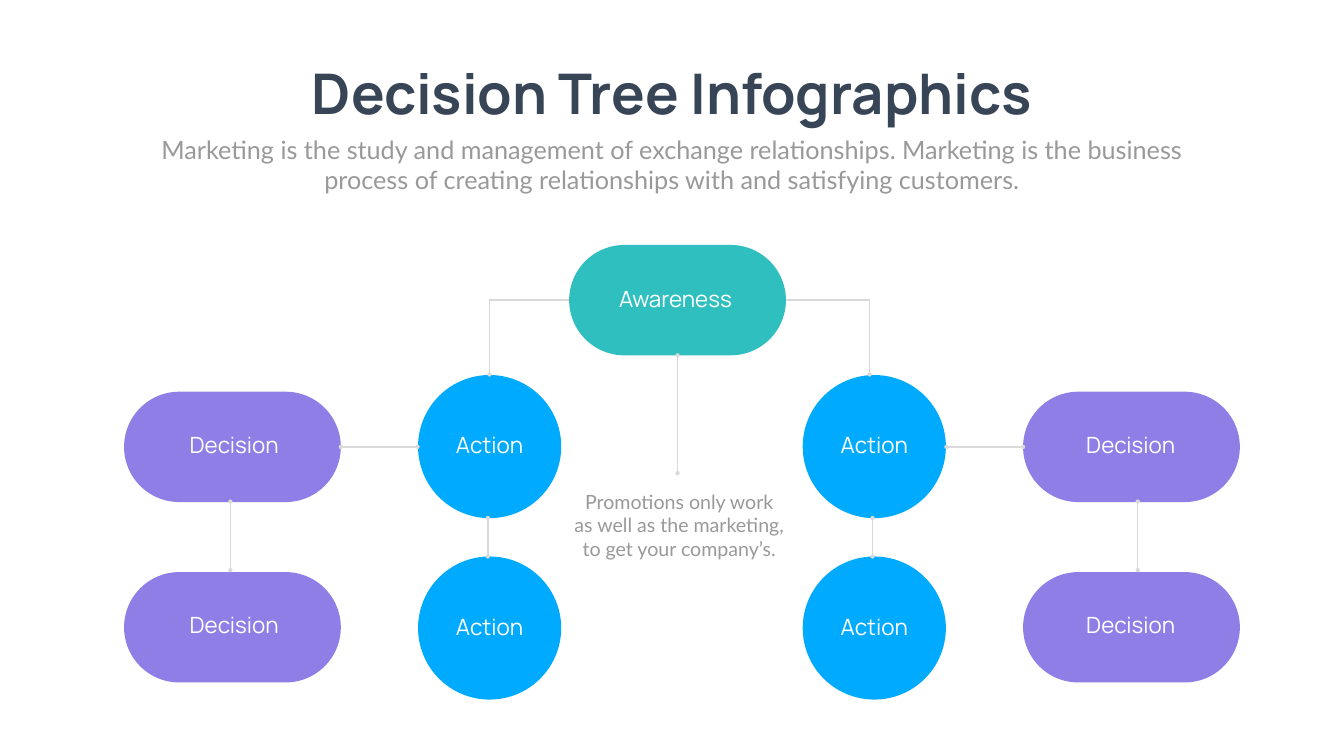
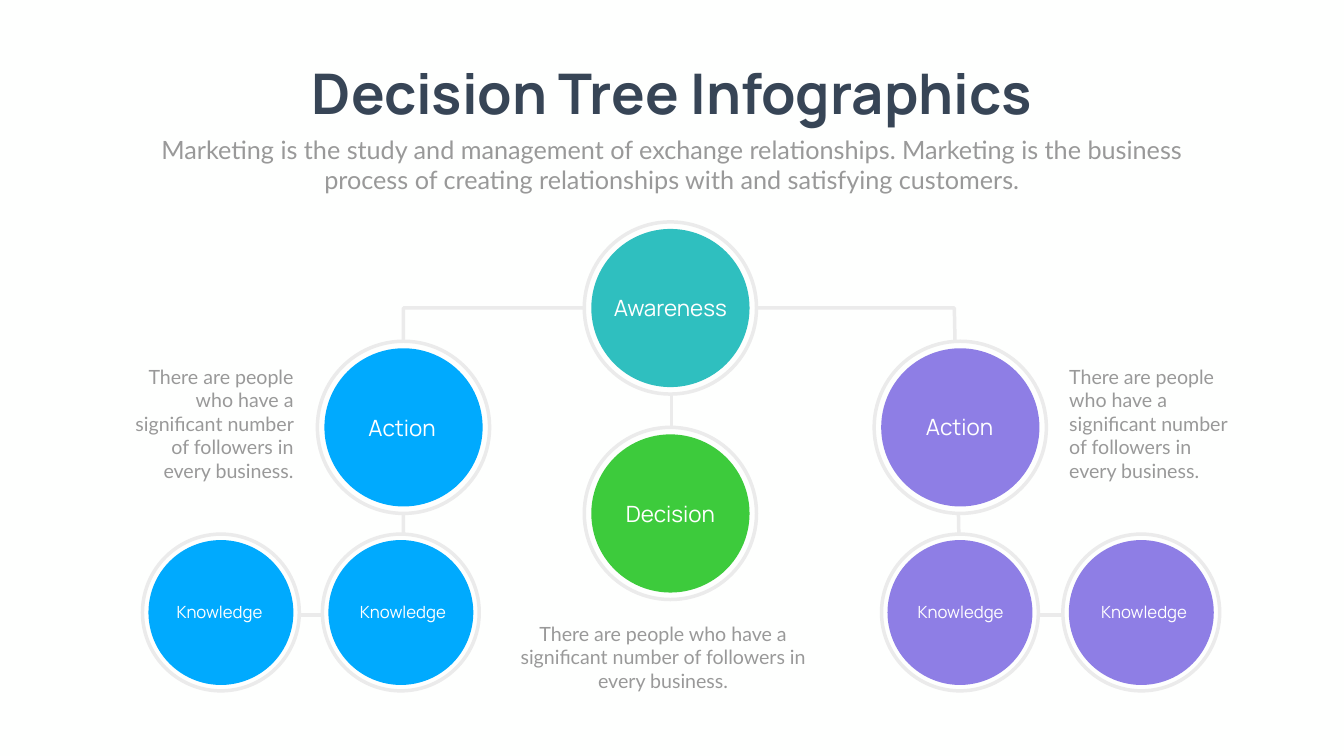
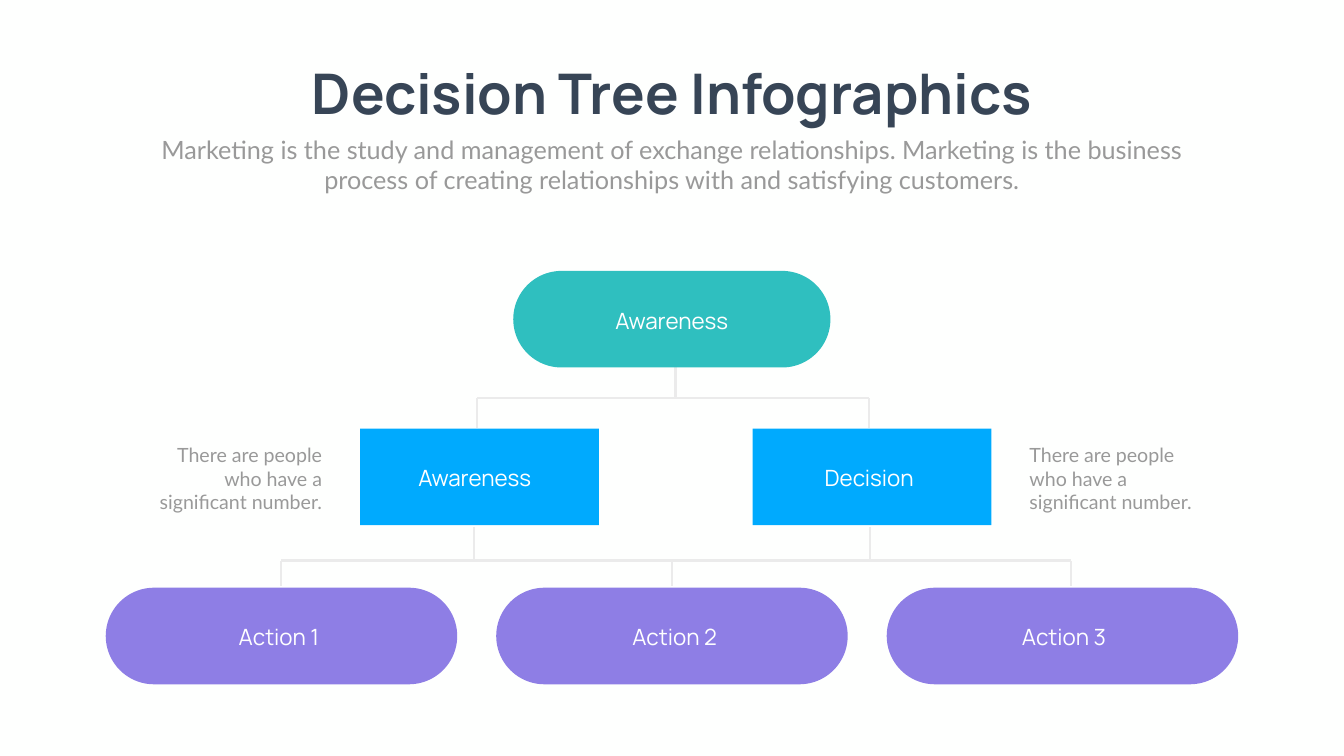
from lxml.etree import SubElement
from pptx import Presentation
from pptx.dml.color import RGBColor
from pptx.enum.shapes import MSO_CONNECTOR, MSO_SHAPE
from pptx.enum.text import MSO_ANCHOR, MSO_AUTO_SIZE, PP_ALIGN
from pptx.oxml.ns import qn
from pptx.util import Pt

# Shared look
PAPER, WHITE, NAVY, GREY = "FEFFFE", "FFFFFF", "374556", "999999"
TEAL, BLUE, PURPLE, GREEN = "2FBFBF", "00AAFE", "8E7EE5", "3DCB3C"
WIRE, RING = "D9D9D9", "EBEBEB"
HEAD, BODY = "Manrope", "Lato"
LEFT, MID, RIGHT = PP_ALIGN.LEFT, PP_ALIGN.CENTER, PP_ALIGN.RIGHT
PILL, OVAL, RECT = MSO_SHAPE.ROUNDED_RECTANGLE, MSO_SHAPE.OVAL, MSO_SHAPE.RECTANGLE
TOP, WEST, BASE, EAST = range(4)  # connection sites

TITLE = "Decision Tree Infographics"
INTRO = ("Marketing is the study and management of exchange relationships. "
         "Marketing is the business process of creating relationships with "
         "and satisfying customers.")
PROMO = "Promotions only work as well as the marketing, to get your company’s."
SHORT = "There are people who have a significant number."
LONG = "There are people who have a significant number of followers in every business."


def color(code):
    return RGBColor.from_string(code)


def write(shape, text, size, font, ink, align=MID, anchor=MSO_ANCHOR.TOP, bold=False):
    frame = shape.text_frame
    frame.text = text
    frame.word_wrap = True
    frame.auto_size = MSO_AUTO_SIZE.NONE
    frame.vertical_anchor = anchor
    para = frame.paragraphs[0]
    para.alignment = align
    para.space_before = Pt(0)
    para.font.size, para.font.name, para.font.bold = Pt(size), font, bold
    para.font.color.rgb = color(ink)


def place(shape, box):
    shape.left, shape.top, shape.width, shape.height = map(Pt, box)


def note(slide, text, box, align=MID):
    write(slide.shapes.add_textbox(*map(Pt, box)), text, 28, BODY, GREY, align)


def paint(shape, fill=None, line=None):
    shape.shadow.inherit = False
    if fill:
        shape.fill.solid()
        shape.fill.fore_color.rgb = color(fill)
    else:
        shape.fill.background()
    if line:
        shape.line.color.rgb = color(line)
        shape.line.width = Pt(5)
    else:
        shape.line.fill.background()


def block(slide, kind, mid, size, fill, line=None):
    """Shape centred on a point."""
    (x, y), (w, h) = mid, size
    shape = slide.shapes.add_shape(kind, Pt(x - w / 2), Pt(y - h / 2), Pt(w), Pt(h))
    if kind == PILL:
        shape.adjustments[0] = 0.5
    paint(shape, fill, line)
    return shape


def label(slide, text, mid, width=245, size=32):
    high = size * 1.44
    box = slide.shapes.add_textbox(Pt(mid[0] - width / 2), Pt(mid[1] - high / 2),
                                   Pt(width), Pt(high))
    write(box, text, size, HEAD, WHITE, anchor=MSO_ANCHOR.MIDDLE)


def node(slide, kind, mid, size, fill, text, shift=(0, 0)):
    shape = block(slide, kind, mid, size, fill)
    label(slide, text, (mid[0] + shift[0], mid[1] + shift[1]))
    return shape


def link(slide, start, end, ink, width, dots=()):
    """Line from a point to a point or to a (shape, site) pair."""
    joined = hasattr(end[0], "shape_id")
    wire = slide.shapes.add_connector(MSO_CONNECTOR.STRAIGHT,
                                      *map(Pt, (*start, *(start if joined else end))))
    if joined:
        wire.end_connect(*end)
    wire.line.color.rgb = color(ink)
    wire.line.width = Pt(width)
    for tag in dots:
        SubElement(wire.line._get_or_add_ln(), qn("a:" + tag)).set("type", "oval")
    SubElement(wire._element.spPr, qn("a:effectLst"))


def start(deck):
    """Slide with title and introduction."""
    slide = deck.slides.add_slide(deck.slide_layouts[0])
    title, intro = slide.placeholders
    place(title, (402, 79.5, 1116, 104.5))
    write(title, TITLE, 80, HEAD, NAVY, anchor=MSO_ANCHOR.MIDDLE, bold=True)
    place(intro, (210, 188, 1499, 94.5))
    write(intro, INTRO, 36, BODY, GREY)
    return slide


# Slide 1: pills and circles
BOTH = ("headEnd", "tailEnd")
STADIUM = (309.6, 157.7)


def wing(slide, axis, way, site, pill_dx, stem):
    """One half of the tree; way is -1 for left, 1 for right."""
    pill_x, ball_x = axis + way * 642, axis + way * 274.7
    root_x, bend = axis - 3.5 + way * 96.5, axis - 3.5 + way * 271.5
    pills = []
    for step in range(2):
        pills.append(node(slide, PILL, (pill_x, 638.4 + step * 257.7), STADIUM,
                          PURPLE, "Decision", (pill_dx, -3.5)))
        node(slide, OVAL, (ball_x, 638 + step * 259.2), (204.5, 204.5),
             BLUE, "Action", (0, -2.5))
    link(slide, (ball_x + way * 103, 638.4), (pills[0], site), WIRE, 2, BOTH)
    link(slide, (stem, 716.5), (stem, 814.5), WIRE, 2, BOTH)
    link(slide, (ball_x - 2.5, 740), (ball_x - 2.5, 795), WIRE, 2, BOTH)
    link(slide, (root_x, 428.4), (bend, 428.4), WIRE, 2)
    link(slide, (bend, 428.4), (bend, 535), WIRE, 2, ("tailEnd",))


def pills(deck):
    slide = start(deck)
    wing(slide, 974, -1, EAST, 2.5, 329)
    wing(slide, 974, 1, WEST, -1, 1625)
    root = node(slide, PILL, (967.7, 428.8), STADIUM, TEAL, "Awareness", (-3, -3))
    note(slide, PROMO, (813, 696, 314, 109))
    link(slide, (967.7, 676), (root, BASE), WIRE, 2, BOTH)


# Slide 2: ringed circles
def badge(slide, mid, fill, text, ring=246, disc=226, size=32, shift=(0, 0)):
    block(slide, OVAL, mid, (ring, ring), PAPER, RING)
    block(slide, OVAL, mid, (disc, disc), fill)
    label(slide, text, (mid[0] + shift[0], mid[1] + shift[1]),
          163 if size < 32 else 238, size)


def branch(slide, top, spots, fill, shift):
    """Large badge with a row of two small ones."""
    badge(slide, top, fill, "Action", shift=shift)
    for x, dx in spots:
        badge(slide, (x, 875), fill, "Knowledge", 224, 207, 24, (dx, -0.5))
    (first, _), (last, _) = spots
    link(slide, (last - 112, 878.4), (first + 112, 878.4), RING, 5)


def rings(deck):
    slide = start(deck)
    path = slide.shapes.build_freeform(Pt(576), Pt(875))
    path.add_line_segments([(Pt(x), Pt(y)) for x, y in
                            ((576, 440), (1363, 440), (1371.5, 866))], close=False)
    paint(path.convert_to_shape(), line=RING)
    branch(slide, (576.3, 610.5), ((315.5, -2), (572.5, 3)), BLUE, (-2, 0))
    branch(slide, (1371.5, 610.5), ((1371, 1), (1630, 4)), PURPLE, (-1, -0.5))
    badge(slide, (957.5, 440), TEAL, "Awareness")
    badge(slide, (957.5, 733.5), GREEN, "Decision")
    link(slide, (959, 561), (959, 610), RING, 5)
    note(slide, LONG, (724.5, 884.5, 445, 109))
    note(slide, LONG, (1520, 517.5, 245.5, 177), LEFT)
    note(slide, LONG, (180.7, 517.5, 245.5, 177), RIGHT)


# Slide 3: three levels
def level(slide, high, stems, drops, rise, fall):
    """Bar at a height, with stems up from it and drops below it."""
    link(slide, (drops[0], high), (drops[-1], high), RING, 3)
    for x in stems:
        link(slide, (x, high - rise), (x, high), RING, 3)
    for x in drops:
        link(slide, (x, high), (x, high + fall), RING, 3)


def levels(deck):
    slide = start(deck)
    level(slide, 568.8, [964.8], [681.5, 1241.5], 49, 43.2)
    level(slide, 800.8, [677.5, 1242.7], [401.8, 959.8, 1529.3], 48.3, 36)
    node(slide, PILL, (959.5, 456), (453, 138), TEAL, "Awareness", (0, 2.5))
    for x, text, dx in ((684.7, "Awareness", -6.5), (1245.4, "Decision", -4)):
        node(slide, RECT, (x, 681.2), (341, 138), BLUE, text, (dx, 0.5))
    for i, dx in enumerate((-3.5, 3.8, 2.3)):
        node(slide, PILL, (402 + i * 557.7, 908.6), (502, 138), PURPLE,
             f"Action {i + 1}", (dx, 0.5))
    note(slide, SHORT, (1463.2, 629.5, 258, 103), LEFT)
    note(slide, SHORT, (209, 629.5, 258, 103), RIGHT)


def main():
    deck = Presentation()
    deck.slide_width, deck.slide_height = Pt(1919.52), Pt(1080)
    back = deck.slide_master.background.fill
    back.solid()
    back.fore_color.rgb = color(PAPER)
    for build in (pills, rings, levels):
        build(deck)
    deck.save("out.pptx")


if __name__ == "__main__":
    main()
